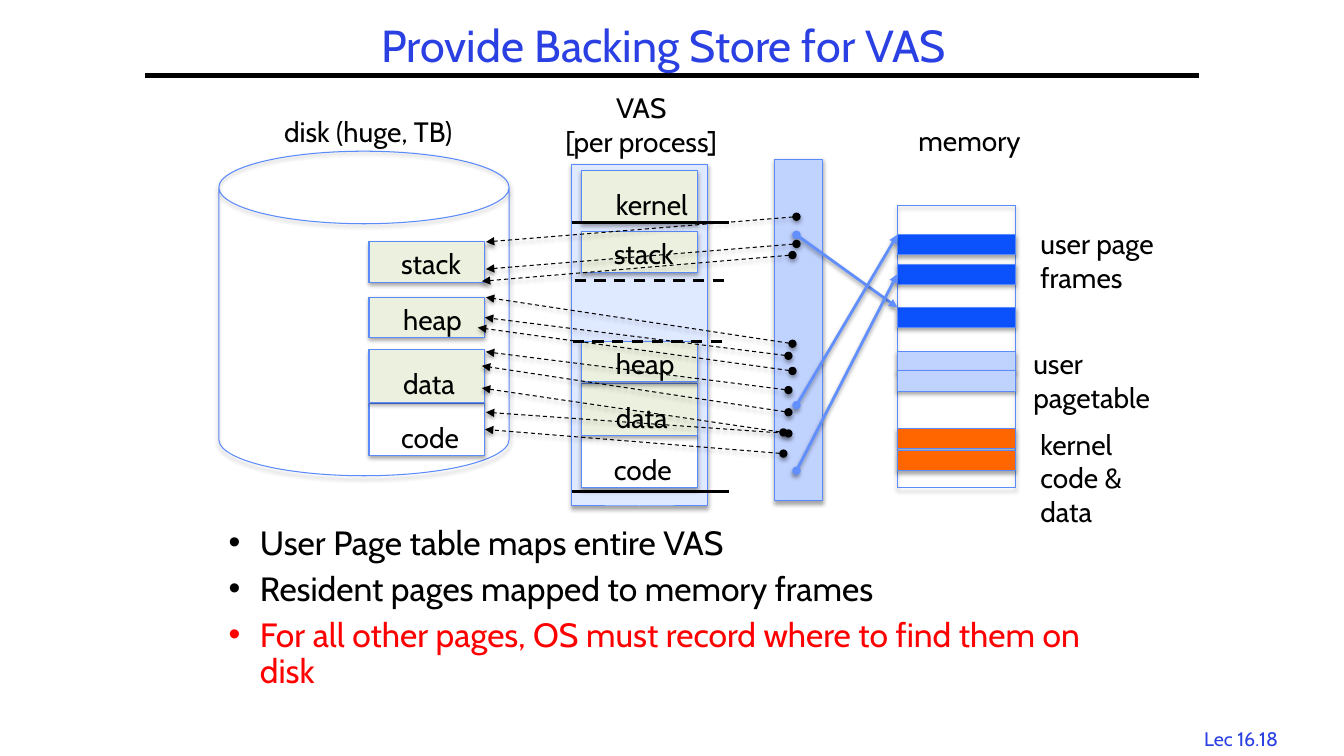
from collections import namedtuple

from lxml import etree
from pptx import Presentation
from pptx.dml.color import RGBColor
from pptx.enum.dml import MSO_LINE
from pptx.enum.shapes import MSO_CONNECTOR, MSO_SHAPE
from pptx.enum.text import MSO_ANCHOR, MSO_AUTO_SIZE, PP_ALIGN
from pptx.oxml.ns import qn
from pptx.util import Inches, Pt

Box = namedtuple("Box", "left top width height")
Segment = namedtuple("Segment", "height label_left label_width fill")

FONT, BULLET_FONT = "Cabin", "Arial"
BLACK, WHITE, RED, TITLE_BLUE = "000000", "FFFFFF", "FF0000", "2A40E2"
OUTLINE, ARROW_BLUE = "5B8AFB", "618FFD"
GREEN, PALE, LIGHT, BLUE, ORANGE = "EBF1DE", "DFE9FF", "C0D2FE", "0B52FC", "FF6600"
CENTER, MIDDLE, TOP = PP_ALIGN.CENTER, MSO_ANCHOR.MIDDLE, MSO_ANCHOR.TOP
GROW, FIXED = MSO_AUTO_SIZE.SHAPE_TO_FIT_TEXT, MSO_AUTO_SIZE.NONE
RECTANGLE, CAN = MSO_SHAPE.RECTANGLE, MSO_SHAPE.CAN
STRAIGHT, DASH = MSO_CONNECTOR.STRAIGHT, MSO_LINE.DASH
LEFT_SIDE, RIGHT_SIDE = 1, 3

SEGMENTS = {
    "kernel": Segment(0.52, 0.24, 0.97, GREEN),
    "stack": Segment(0.4, 0.22, 0.86, GREEN),
    "heap": Segment(0.4, 0.24, 0.83, GREEN),
    "data": Segment(0.52, 0.24, 0.75, GREEN),
    "code": Segment(0.52, 0.22, 0.81, WHITE),
}
SEGMENT_WIDTH = 1.15


def color(value):
    return RGBColor.from_string(value)


def inches(box):
    return [Inches(length) for length in box]


def set_effects(shape, shadow_alpha=None):
    """Replace the theme shadow by a soft one below, or by none."""
    effects = etree.SubElement(shape._element.spPr, qn("a:effectLst"))
    if shadow_alpha:
        shadow = etree.SubElement(effects, qn("a:outerShdw"), blurRad=str(Pt(3.1)),
                                  dist=str(Pt(1.8)), dir="5400000", rotWithShape="0")
        tint = etree.SubElement(shadow, qn("a:srgbClr"), val=BLACK)
        etree.SubElement(tint, qn("a:alpha"), val=str(shadow_alpha * 1000))


def add_text(page, box, text, size=20, ink=BLACK, align=None, anchor=TOP,
             wrap=False, fit=GROW, line_spacing=None, space_before=0, bullet=None):
    """Write one paragraph for each (text, ink) pair, or each line of a string."""
    frame = page.shapes.add_textbox(*inches(box)).text_frame
    frame.word_wrap, frame.auto_size, frame.vertical_anchor = wrap, fit, anchor
    lines = [(line, ink) for line in text.split("\n")] if isinstance(text, str) else text
    for index, (line, line_ink) in enumerate(lines):
        para = frame.add_paragraph() if index else frame.paragraphs[0]
        if bullet:
            props = para._p.get_or_add_pPr()
            props.set("marL", str(Inches(0.31)))
            props.set("indent", str(Inches(-0.31)))
            etree.SubElement(props, qn("a:buFont"), typeface=BULLET_FONT)
            etree.SubElement(props, qn("a:buChar"), char=bullet)
        if align is not None:
            para.alignment = align
        if line_spacing:
            para.line_spacing = line_spacing
        if index and space_before:
            para.space_before = Pt(space_before)
        span = para.add_run()
        span.text = line
        span.font.name, span.font.size = FONT, Pt(size)
        span.font.color.rgb = color(line_ink)


def add_block(page, box, fill=None, kind=RECTANGLE):
    block = page.shapes.add_shape(kind, *inches(box))
    if fill:
        block.fill.solid()
        block.fill.fore_color.rgb = color(fill)
    else:
        block.fill.background()
    block.line.color.rgb = color(OUTLINE)
    block.line.width = Pt(0.75)
    set_effects(block, 35)
    return block


def add_line(page, start, end, width=2, ink=BLACK, dashed=False, arrow=False):
    line = page.shapes.add_connector(STRAIGHT, *inches(start + end))
    line.line.color.rgb = color(ink)
    line.line.width = Pt(width)
    if dashed:
        line.line.dash_style = DASH
    if arrow:
        outline = line.line._get_or_add_ln()
        etree.SubElement(outline, qn("a:headEnd"), type="oval")
        etree.SubElement(outline, qn("a:tailEnd"), type="triangle")
    set_effects(line, 38 if arrow else None)
    return line


def add_segments(page, left, tops):
    blocks = {}
    for name, top in tops.items():
        segment = SEGMENTS[name]
        blocks[name] = add_block(
            page, Box(left, top, SEGMENT_WIDTH, segment.height), segment.fill)
        add_text(page, Box(left + segment.label_left, top + segment.height - 0.4,
                           segment.label_width, 0.44), name)
    return blocks


def draw_header(page, box):
    add_line(page, (box.left - 0.57, 0.75), (box.left + 9.88, 0.75), width=3)
    add_text(page, box, "Provide Backing Store for VAS", size=32, ink=TITLE_BLUE,
             align=CENTER, anchor=MIDDLE, wrap=True, fit=FIXED, line_spacing=0.9)


def draw_address_space(page, box):
    add_block(page, box, PALE)
    add_text(page, Box(box.left - 0.22, box.top - 0.78, 1.82, 0.77),
             "VAS\n[per process]", align=CENTER)
    offsets = {"code": 2.69, "data": 2.17, "heap": 1.76, "stack": 0.67, "kernel": 0.06}
    add_segments(page, box.left + 0.1,
                 {name: box.top + offset for name, offset in offsets.items()})
    # Region limits: solid ones are fixed, dashed ones move
    for offset, shift, dashed in ((0.58, 0, False), (1.76, 0.01, True),
                                  (1.15, 0.03, True), (3.25, 0, False)):
        left, top = box.left + shift, box.top + offset
        add_line(page, (left, top), (left + 1.56, top), dashed=dashed)


def draw_disk(page, box):
    add_block(page, box, kind=CAN)
    add_text(page, Box(box.left + 0.55, box.top - 0.41, 2.1, 0.44), "disk (huge, TB)")
    offsets = {"code": 2.5, "data": 1.97, "heap": 1.45, "stack": 0.9}
    return add_segments(page, box.left + 1.49,
                        {name: box.top + offset for name, offset in offsets.items()})


def draw_memory(page, box):
    add_block(page, box)
    frames = {}
    for offset, fill in ((1.45, LIGHT), (2.21, ORANGE), (1.01, BLUE), (2.43, ORANGE),
                         (0.29, BLUE), (0.58, BLUE), (1.64, LIGHT)):
        frames[offset] = add_block(page, Box(box.left, box.top + offset, box.width, 0.2), fill)
    add_text(page, Box(box.left + 0.11, box.top - 0.86, 1.4, 0.44), "memory", wrap=True)
    for text, shift, offset, height in (("kernel code & data", 1.32, 2.15, 1.11),
                                        ("user page\nframes", 1.32, 0.16, 0.77),
                                        ("user pagetable", 1.25, 1.35, 0.77)):
        add_text(page, Box(box.left + shift, box.top + offset, 1.49, height), text, wrap=True)
    return frames


def draw_resident_arrows(page, table, memory, frames):
    for start, end in ((0.75, 1.01), (3.09, 0.68), (2.44, 0.29)):
        arrow = add_line(page, (table.left + 0.22, table.top + start),
                         (memory.left, memory.top + end), ink=ARROW_BLUE, arrow=True)
        if end == 0.68:
            arrow.end_connect(frames[0.58], LEFT_SIDE)


def draw_disk_arrows(page, table, disk, segments):
    # Start in the page table, end beside the disk segments, segment to join
    arrows = (
        (0.22, 0.57, 2.65, 0.9, None), (0.22, 0.84, 2.65, 1.17, None),
        (0.18, 0.95, 2.61, 1.29, None), (0.18, 1.83, 2.65, 1.45, None),
        (0.14, 1.95, 2.65, 1.65, "heap"), (0.18, 2.1, 2.57, 1.75, None),
        (0.14, 2.29, 2.65, 1.99, None), (0.14, 2.51, 2.61, 2.13, None),
        (0.09, 2.71, 2.61, 2.35, None), (0.14, 2.72, 2.65, 2.59, None),
        (0.09, 2.92, 2.65, 2.76, "code"),
    )
    for start_x, start_y, end_x, end_y, name in arrows:
        arrow = add_line(page, (table.left + start_x, table.top + start_y),
                         (disk.left + end_x, disk.top + end_y),
                         width=0.75, dashed=True, arrow=True)
        if name:
            arrow.end_connect(segments[name], RIGHT_SIDE)


def draw_points(page, box):
    points = [("User Page table maps entire VAS", BLACK),
              ("Resident pages mapped to memory frames", BLACK),
              ("For all other pages, OS must record where to find them on disk", RED)]
    add_text(page, box, points, size=24, wrap=True, fit=FIXED,
             line_spacing=0.9, space_before=7, bullet="•")


def main():
    deck = Presentation()
    deck.slide_width, deck.slide_height = Inches(13.33), Inches(7.5)
    page = deck.slides.add_slide(deck.slide_layouts[6])
    disk = Box(2.17, 1.5, 2.88, 3.22)
    table = Box(7.68, 1.58, 0.48, 3.39)
    memory = Box(8.9, 2.04, 1.17, 2.8)

    draw_header(page, Box(2.01, 0, 9.15, 0.96))
    draw_address_space(page, Box(5.67, 1.63, 1.35, 3.39))
    frames = draw_memory(page, memory)
    add_block(page, table, LIGHT)
    draw_resident_arrows(page, table, memory, frames)
    segments = draw_disk(page, disk)
    draw_disk_arrows(page, table, disk, segments)
    draw_points(page, Box(2.17, 5.17, 9, 1.86))
    add_text(page, Box(11.77, 7.16, 1.08, 0.33), "Lec 16.18",
             size=14, ink=TITLE_BLUE, align=CENTER)
    deck.save("out.pptx")


if __name__ == "__main__":
    main()
